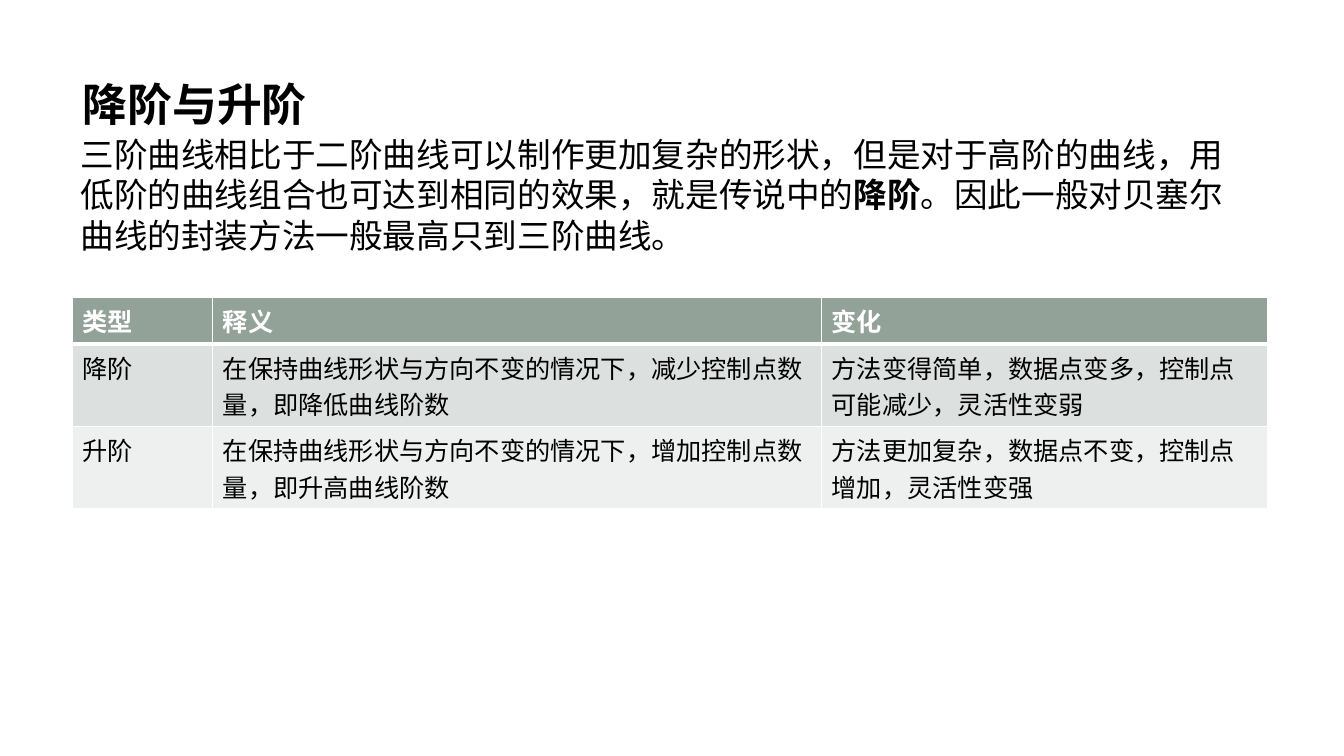
from dataclasses import dataclass

from lxml import etree
from pptx import Presentation
from pptx.dml.color import RGBColor
from pptx.enum.text import MSO_ANCHOR, MSO_AUTO_SIZE, PP_ALIGN
from pptx.oxml.ns import qn
from pptx.util import Inches, Pt

TOP = MSO_ANCHOR.TOP
FIT_SHAPE = MSO_AUTO_SIZE.SHAPE_TO_FIT_TEXT
LEFT = PP_ALIGN.LEFT
TITLE_ONLY = 5
FONT = "Calibri"
BLACK, WHITE = "000000", "FFFFFF"
COLUMN_WIDTHS = (1.39, 6.04, 4.42)


@dataclass
class TableRow:
    cells: tuple[str, str, str]
    height: float
    fill: str
    color: str = BLACK
    bold: bool = False
    top_line: float = 1
    bottom_line: float = 1


ROWS = [
    TableRow(("类型", "释义", "变化"), 0.46, "93A299", WHITE, True, bottom_line=3),
    TableRow(
        ("降阶", "在保持曲线形状与方向不变的情况下，减少控制点数量，即降低曲线阶数",
         "方法变得简单，数据点变多，控制点可能减少，灵活性变弱"),
        0.82, "DCE0DE", top_line=3),
    TableRow(
        ("升阶", "在保持曲线形状与方向不变的情况下，增加控制点数量，即升高曲线阶数",
         "方法更加复杂，数据点不变，控制点增加，灵活性变强"),
        0.82, "EEF0EF"),
]
BODY_RUNS = [
    ("三阶曲线相比于二阶曲线可以制作更加复杂的形状，但是对于高阶的曲线，"
     "用低阶的曲线组合也可达到相同的效果，就是传说中的", False),
    ("降阶", True),
    ("。因此一般对贝塞尔曲线的封装方法一般最高只到三阶曲线。", False),
]


def rgb(value: str) -> RGBColor:
    return RGBColor.from_string(value)


def set_font(paragraph, size: float, color: str, bold: bool | None = None) -> None:
    font = paragraph.font
    font.name, font.size, font.bold = FONT, Pt(size), bold
    font.color.rgb = rgb(color)


def set_east_asian_font(paragraph) -> None:
    """Use the Latin face for Chinese text too, which sets the line height."""
    for run in paragraph.runs:
        run.font.name = FONT
        latin = run.font._element.find(qn("a:latin")) if hasattr(run.font, "_element") \
            else run._r.rPr.find(qn("a:latin"))
        east_asian = etree.Element(qn("a:ea"), typeface=FONT)
        latin.addnext(east_asian)


def set_borders(cell, top: float, bottom: float) -> None:
    properties = cell._tc.get_or_add_tcPr()
    widths = {"lnL": 1, "lnR": 1, "lnT": top, "lnB": bottom}
    for index, (side, width) in enumerate(widths.items()):
        line = etree.Element(qn(f"a:{side}"), w=str(Pt(width)))
        fill = etree.SubElement(line, qn("a:solidFill"))
        etree.SubElement(fill, qn("a:srgbClr"), val=WHITE)
        properties.insert(index, line)


def add_title(slide) -> None:
    title = slide.shapes.title
    title.left, title.top = Inches(0.72), Inches(0.71)
    title.width, title.height = Inches(2.88), Inches(0.64)
    frame = title.text_frame
    frame.text = "降阶与升阶"
    frame.vertical_anchor = TOP
    frame.auto_size = FIT_SHAPE
    paragraph = frame.paragraphs[0]
    paragraph.alignment = LEFT
    set_font(paragraph, 32, BLACK, True)
    set_east_asian_font(paragraph)


def add_body(slide) -> None:
    box = slide.shapes.add_textbox(Inches(0.7), Inches(1.28), Inches(11.58), Inches(1.31))
    frame = box.text_frame
    frame.word_wrap = True
    frame.auto_size = FIT_SHAPE
    paragraph = frame.paragraphs[0]
    for text, bold in BODY_RUNS:
        run = paragraph.add_run()
        run.text = text
        run.font.bold = bold
    set_font(paragraph, 24, BLACK)
    set_east_asian_font(paragraph)


def add_comparison_table(slide) -> None:
    table = slide.shapes.add_table(
        len(ROWS), len(COLUMN_WIDTHS), Inches(0.72), Inches(2.95),
        Inches(sum(COLUMN_WIDTHS)), Inches(sum(row.height for row in ROWS))).table
    for column, width in zip(table.columns, COLUMN_WIDTHS):
        column.width = Inches(width)
    for table_row, row in zip(table.rows, ROWS):
        table_row.height = Inches(row.height)
        for cell, text in zip(table_row.cells, row.cells):
            cell.text = text
            set_font(cell.text_frame.paragraphs[0], 18, row.color, row.bold)
            set_borders(cell, row.top_line, row.bottom_line)
            cell.fill.solid()
            cell.fill.fore_color.rgb = rgb(row.fill)


def main() -> None:
    presentation = Presentation()
    presentation.slide_width, presentation.slide_height = Inches(13.33), Inches(7.5)
    slide = presentation.slides.add_slide(presentation.slide_layouts[TITLE_ONLY])
    add_comparison_table(slide)
    add_body(slide)
    add_title(slide)
    presentation.save("out.pptx")


if __name__ == "__main__":
    main()
